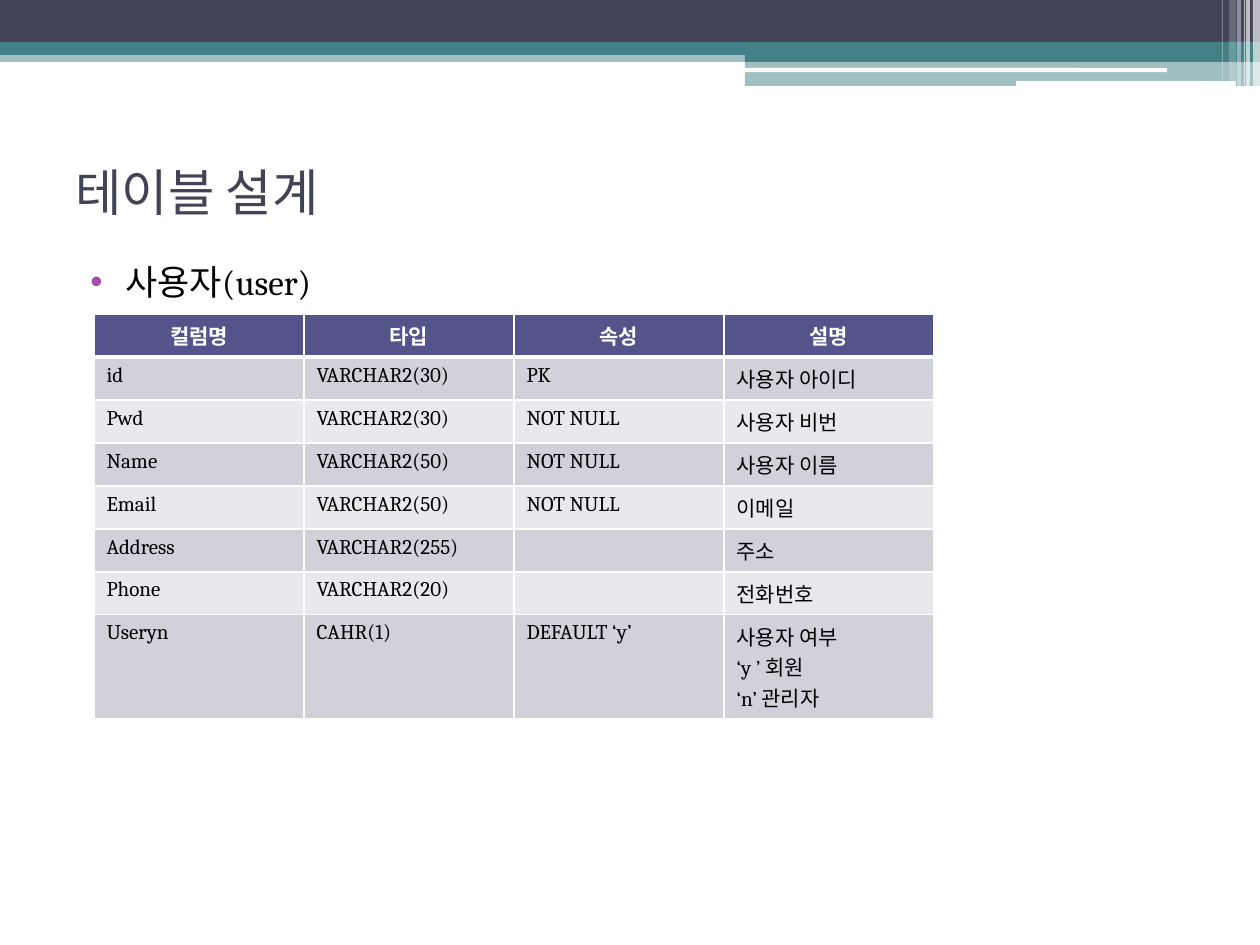
from pptx import Presentation
from pptx.dml.color import RGBColor
from pptx.enum.shapes import MSO_SHAPE
from pptx.enum.text import MSO_ANCHOR, PP_ALIGN
from pptx.oxml import parse_xml
from pptx.oxml.ns import nsdecls, qn
from pptx.util import Pt
from lxml.etree import SubElement

PIXEL = 914400 // 126
INK = RGBColor(0x42, 0x44, 0x56)
TEAL = RGBColor(0x43, 0x80, 0x86)
PURPLE = RGBColor(0xA0, 0x4D, 0xA3)
INDIGO = RGBColor(0x53, 0x54, 0x8A)
BAND_DARK = RGBColor(0xD1, 0xD1, 0xDA)
BAND_LIGHT = RGBColor(0xE9, 0xE9, 0xED)
WHITE = RGBColor(0xFF, 0xFF, 0xFF)
BLACK = RGBColor(0, 0, 0)


def emu(*lengths):
    """Turn pixel lengths into EMU."""
    return [length * PIXEL for length in lengths]


class SlideBuilder:
    """Holds the text style and the current page."""

    body_font = "Cambria"
    title_font = "Lato"

    def __init__(self, page):
        """Start on a page."""
        self.page = page

    def bar(self, at, color, opacity=100, rounded=False):
        """Draw a plain bar, optionally see-through or rounded."""
        kind = MSO_SHAPE.ROUNDED_RECTANGLE if rounded else MSO_SHAPE.RECTANGLE
        shape = self.page.shapes.add_shape(kind, *emu(*at))
        shape.shadow.inherit = False
        shape.fill.solid()
        shape.fill.fore_color.rgb = color
        shape.line.fill.background()
        if opacity < 100:
            tone = shape.fill._xPr.find(".//" + qn("a:srgbClr"))
            SubElement(tone, qn("a:alpha"), val=str(opacity * 1000))

    def span(self, para, text, size, color, font=None, bold=False):
        """Add one run of text."""
        span = para.add_run()
        span.text = text
        span.font.size = Pt(size)
        span.font.name = font or self.body_font
        span.font.bold = bold
        span.font.color.rgb = color

    def text(self, at, text, size, color, font=None, anchor=MSO_ANCHOR.TOP):
        """Add a text box and return its paragraph."""
        box = self.page.shapes.add_textbox(*emu(*at))
        box.text_frame.word_wrap = True
        box.text_frame.vertical_anchor = anchor
        para = box.text_frame.paragraphs[0]
        self.span(para, text, size, color, font)
        return para

    def bullet(self, para, indent, hanging, color):
        """Give a paragraph a coloured round bullet."""
        para.space_before = Pt(3)
        props = para._p.get_or_add_pPr()
        props.set("marL", str(indent * PIXEL))
        props.set("indent", str(-hanging * PIXEL))
        tone = SubElement(props, qn("a:buClr"))
        SubElement(tone, qn("a:srgbClr"), val=str(color))
        SubElement(props, qn("a:buFont"), typeface="Arial")
        SubElement(props, qn("a:buChar"), char="•")

    def borders(self, cell, top, bottom):
        """Draw white cell borders, widths in points."""
        props = cell._tc.get_or_add_tcPr()
        sides = {"L": 1, "R": 1, "T": top, "B": bottom}
        for place, (side, width) in enumerate(sides.items()):
            props.insert(place, parse_xml(
                f'<a:ln{side} {nsdecls("a")} w="{Pt(width)}"><a:solidFill>'
                f'<a:srgbClr val="{WHITE}"/></a:solidFill></a:ln{side}>'))

    def table(self, at, rows, heights, size):
        """Add a banded table with a header row."""
        left, top, width = at
        frame = self.page.shapes.add_table(
            len(rows), len(rows[0]), *emu(left, top, width, sum(heights)))
        table = frame.table
        for index, (row, height) in enumerate(zip(rows, heights)):
            table.rows[index].height = height * PIXEL
            header = index == 0
            band = BAND_DARK if index % 2 else BAND_LIGHT
            for column, text in enumerate(row):
                cell = table.cell(index, column)
                cell.fill.solid()
                cell.fill.fore_color.rgb = INDIGO if header else band
                self.borders(cell, 3 if index == 1 else 1, 3 if header else 1)
                self.cell_text(cell, text, size, header)

    def cell_text(self, cell, text, size, header):
        """Write the lines of a cell, one paragraph each."""
        frame = cell.text_frame
        for number, line in enumerate(text.split("\n")):
            para = frame.add_paragraph() if number else frame.paragraphs[0]
            if header:
                para.alignment = PP_ALIGN.CENTER
            if line:
                self.span(para, line, size, WHITE if header else BLACK, bold=header)
            else:
                SubElement(para._p, qn("a:endParaRPr"), sz=str(size * 100))


deck = Presentation()
deck.slide_width, deck.slide_height = emu(1260, 945)
builder = SlideBuilder(deck.slides.add_slide(deck.slide_layouts[6]))

builder.bar((0, 50, 1260, 12), TEAL, 50)
builder.bar((0, 0, 1260, 42), INK)
builder.bar((0, 42, 1260, 13), TEAL)
builder.bar((745, 49, 515, 13), TEAL)
builder.bar((745, 61, 515, 25), TEAL, 50)
builder.bar((745, 68, 422, 4), WHITE, rounded=True)
builder.bar((1016, 81, 220, 5), WHITE, rounded=True)

STRIPES = [(1253, 7, 86, 65), (1246, 4, 86, 65), (1244, 1, 86, 60),
           (1237, 4, 86, 40), (1229, 7, 81, 20), (1222, 1, 81, 30)]
for left, width, height, opacity in STRIPES:
    builder.bar((left, 0, width, height), WHITE, opacity)

builder.text((63, 158, 1134, 67), "테이블 설계", 28.8, INK,
             builder.title_font, MSO_ANCHOR.MIDDLE)
topic = builder.text((63, 254, 1134, 651), "사용자(user)", 20, BLACK)
builder.bullet(topic, 50, 35, PURPLE)

COLUMNS = [
    ("컬럼명", "타입", "속성", "설명"),
    ("id", "VARCHAR2(30)", "PK", "사용자 아이디"),
    ("Pwd", "VARCHAR2(30)", "NOT NULL", "사용자 비번"),
    ("Name", "VARCHAR2(50)", "NOT NULL", "사용자 이름"),
    ("Email", "VARCHAR2(50)", "NOT NULL", "이메일"),
    ("Address", "VARCHAR2(255)", "", "주소"),
    ("Phone", "VARCHAR2(20)", "", "전화번호"),
    ("Useryn", "CAHR(1)", "DEFAULT ‘y’", "사용자 여부\n‘y ’ 회원\n‘n’ 관리자"),
]
builder.table((94, 314, 840), COLUMNS, [43] * 7 + [104], 12)

deck.save("out.pptx")
